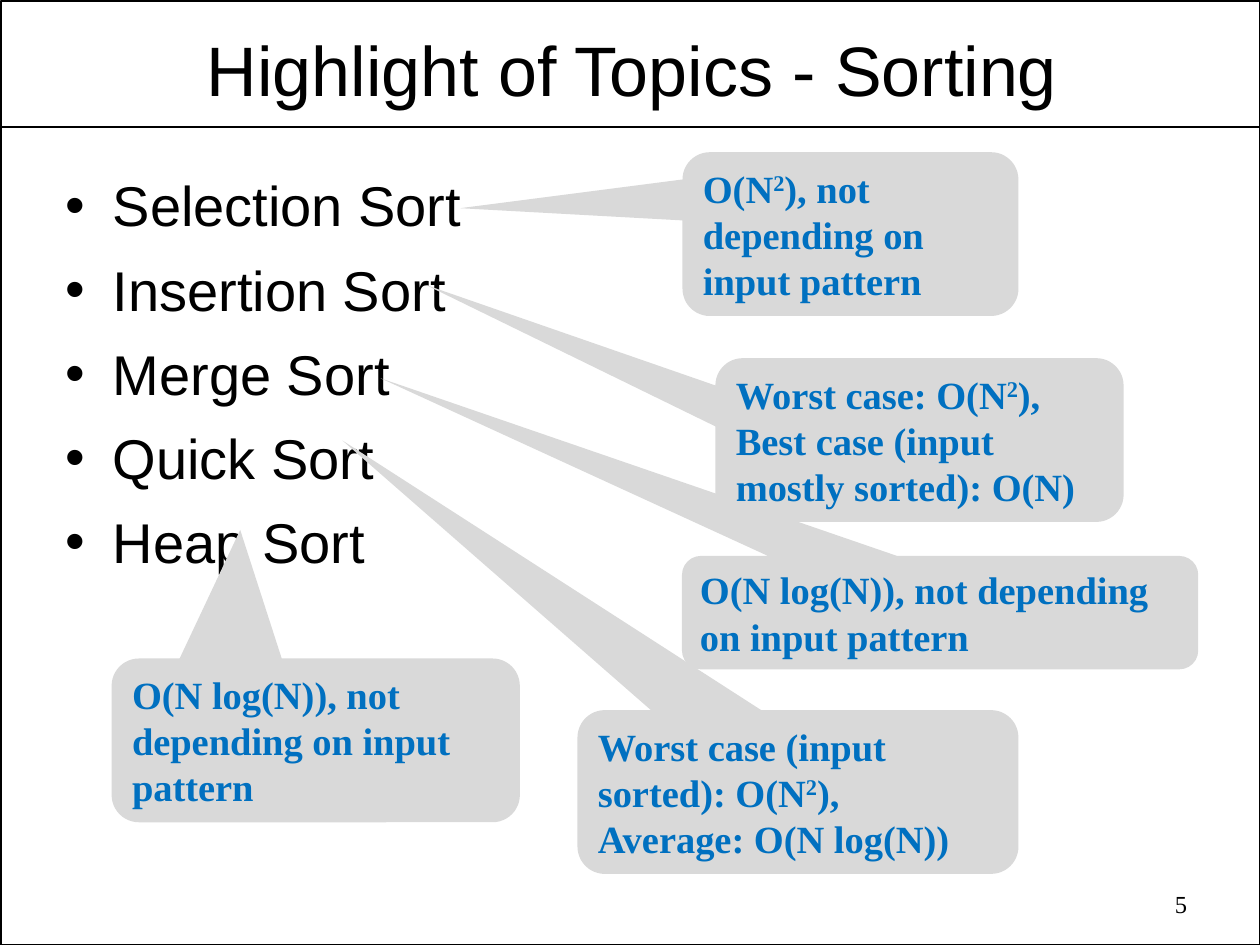
"""Build the slide that sums up the running times of five sorting algorithms."""
from lxml.etree import SubElement
from pptx import Presentation
from pptx.dml.color import RGBColor
from pptx.enum.shapes import MSO_CONNECTOR as Connector, MSO_SHAPE as Shape
from pptx.enum.text import MSO_ANCHOR as Anchor, MSO_AUTO_SIZE as AutoSize, PP_ALIGN as Align
from pptx.oxml.ns import qn
from pptx.util import Pt

BLACK = RGBColor(0x00, 0x00, 0x00)
GRAY = RGBColor(0xD9, 0xD9, 0xD9)
BLUE = RGBColor(0x00, 0x70, 0xC0)
SANS = "Arial"
SERIF = "Times New Roman"

TOPICS = ["Selection Sort", "Insertion Sort", "Merge Sort", "Quick Sort", "Heap Sort"]
SQUARED = ("2", True)
CALLOUTS = [
    ((390, 87, 192, 93.6), (-1.162, -0.158),
     [["O(N", SQUARED, "), not depending on input pattern "]]),
    ((408.8, 204.7, 233.3, 93.6), (-1.209, -0.947),
     [["Worst case: O(N", SQUARED, "), Best case (input mostly sorted): O(N)"]]),
    ((389.7, 317.7, 295, 64.8), (-1.084, -2.067),
     [["O(N log(N)), not depending on input pattern "]]),
    ((330, 405.8, 252, 93.6), (-1.033, -2.146),
     [["Worst case (input sorted): O(N", SQUARED, "), "], ["Average: O(N log(N))"]]),
    ((63.8, 376.3, 233.3, 93.6), (-0.185, -1.285),
     [["O(N log(N)), not depending on input pattern "]]),
]


def place(shape, left, top, width, height):
    """Move and size a shape, in points."""
    shape.left, shape.top = Pt(left), Pt(top)
    shape.width, shape.height = Pt(width), Pt(height)


def prepare_frame(shape, anchor, side=7.2, top=3.6, bottom=3.6):
    """Set wrapping, anchor and insets, and return the text frame."""
    frame = shape.text_frame
    frame.word_wrap = True
    frame.auto_size = AutoSize.NONE
    frame.vertical_anchor = anchor
    frame.margin_left = frame.margin_right = Pt(side)
    frame.margin_top, frame.margin_bottom = Pt(top), Pt(bottom)
    return frame


def add_run(paragraph, text, font, size, color, bold=False, raised=False):
    """Add one formatted run to a paragraph."""
    run = paragraph.add_run()
    run.text = text
    run.font.name = font
    run.font.size = Pt(size)
    run.font.bold = bold
    run.font.color.rgb = color
    if raised:
        run.font._element.set("baseline", "30000")


def next_paragraph(frame, index):
    """Return the first paragraph of a frame, or a new one after it."""
    return frame.add_paragraph() if index else frame.paragraphs[0]


def add_border(slide):
    """Draw the slide border and the rule below the title."""
    border = slide.shapes.add_shape(Shape.RECTANGLE, Pt(0.7), Pt(0.7), Pt(719.3), Pt(539.3))
    border.shadow.inherit = False
    border.fill.background()
    rule = slide.shapes.add_connector(Connector.STRAIGHT, Pt(0.7), Pt(72.7), Pt(719.3), Pt(72.7))
    SubElement(rule._element.spPr, qn("a:effectLst"))
    for shape in (border, rule):
        shape.line.color.rgb = BLACK
        shape.line.width = Pt(1)
    rule._element.spPr.append(rule._element.spPr.find(qn("a:effectLst")))


def fill_title(slide, text):
    """Write the centred title."""
    title = slide.shapes.title
    place(title, 38.2, 13.7, 645.8, 51.8)
    paragraph = prepare_frame(title, Anchor.BOTTOM, 5, 2.2, 2.2).paragraphs[0]
    paragraph.alignment = Align.CENTER
    add_run(paragraph, text, SANS, 40, BLACK)


def fill_topics(slide, topics):
    """Write the bulleted list of topics."""
    body = slide.placeholders[1]
    place(body, 30.2, 90.7, 299.5, 414)
    frame = prepare_frame(body, Anchor.TOP, top=7)
    for index, topic in enumerate(topics):
        paragraph = next_paragraph(frame, index)
        paragraph.space_before = Pt(0)
        paragraph.space_after = Pt(9.6)
        properties = paragraph._p.get_or_add_pPr()
        properties.set("marL", str(Pt(27)))
        properties.set("indent", str(-Pt(27)))
        SubElement(properties, qn("a:buFont"), typeface=SANS)
        SubElement(properties, qn("a:buChar"), char="\u2022")
        add_run(paragraph, topic, SANS, 32, BLACK)


def add_slide_number(slide, number):
    """Write the slide number at the lower right."""
    box = slide.shapes.add_textbox(Pt(517), Pt(504.7), Pt(168.5), Pt(25.9))
    paragraph = prepare_frame(box, Anchor.TOP).paragraphs[0]
    paragraph.alignment = Align.RIGHT
    add_run(paragraph, number, SERIF, 14, BLACK)


def add_callout(slide, bounds, pointer, paragraphs):
    """Add a rounded callout whose pointer is given as shares of its size."""
    callout = slide.shapes.add_shape(Shape.ROUNDED_RECTANGULAR_CALLOUT, *map(Pt, bounds))
    callout.shadow.inherit = False
    callout.fill.solid()
    callout.fill.fore_color.rgb = GRAY
    callout.line.fill.background()
    for index, value in enumerate((*pointer, 0.167)):
        callout.adjustments[index] = value
    frame = prepare_frame(callout, Anchor.MIDDLE)
    for index, parts in enumerate(paragraphs):
        paragraph = next_paragraph(frame, index)
        paragraph.alignment = Align.LEFT
        for part in parts:
            text, raised = (part, False) if isinstance(part, str) else part
            add_run(paragraph, text, SERIF, 22, BLUE, True, raised)


def main():
    """Build and save the presentation."""
    presentation = Presentation()
    presentation.slide_width, presentation.slide_height = Pt(720), Pt(540)
    slide = presentation.slides.add_slide(presentation.slide_layouts[1])
    add_border(slide)
    fill_title(slide, "Highlight of Topics - Sorting")
    fill_topics(slide, TOPICS)
    add_slide_number(slide, "5")
    for bounds, pointer, paragraphs in CALLOUTS:
        add_callout(slide, bounds, pointer, paragraphs)
    presentation.save("out.pptx")


main()
